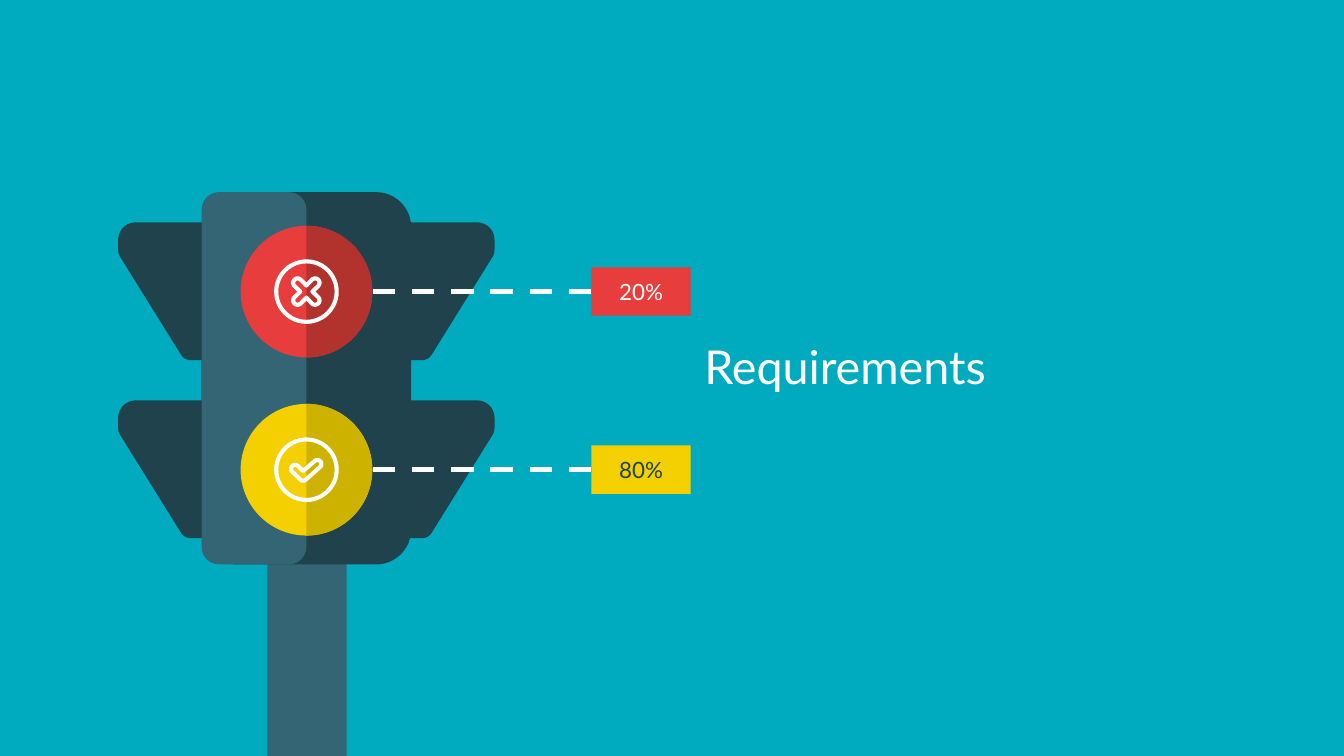
import math

import pptx
import pptx.dml.color
import pptx.enum.dml
import pptx.enum.shapes
import pptx.enum.text
import pptx.oxml
import pptx.oxml.ns
import pptx.util

RGBColor = pptx.dml.color.RGBColor
MSO_SHAPE = pptx.enum.shapes.MSO_SHAPE
PP_ALIGN = pptx.enum.text.PP_ALIGN
ANCHOR = pptx.enum.text.MSO_ANCHOR

TEAL = RGBColor(0x00, 0xAB, 0xBF)
DARK = RGBColor(0x1F, 0x42, 0x4C)
SLATE = RGBColor(0x33, 0x65, 0x74)
RED = RGBColor(0xE8, 0x3D, 0x3D)
DEEP_RED = RGBColor(0xB2, 0x32, 0x2E)
YELLOW = RGBColor(0xF4, 0xD0, 0x00)
DEEP_YELLOW = RGBColor(0xCE, 0xB2, 0x00)
WHITE = RGBColor(0xFF, 0xFF, 0xFF)

# Grid of 100 columns by 56.25 rows
COLS, ROWS = 100, 56.25
AXIS = 22.8     # column of the light's centre line
RADIUS = 4.9    # of a lamp


def cells(n):
    return pptx.util.Inches(n / 10)


def arc(x, y, r, start, end, steps=16):
    """Points on a circle, clockwise from start to end in degrees."""
    angles = [math.radians(start + (end - start) * i / steps) for i in range(steps + 1)]
    return [(x + r * math.cos(a), y + r * math.sin(a)) for a in angles]


def hood(inner):
    """Right-hand hood, measured from the lamp's centre."""
    return ([(inner, 5.1), (inner, -5.15)] + arc(12.7, -3.85, 1.3, -90, 0)
            + arc(13, -3.1, 1, 0, 30) + arc(8.6, 4.25, 0.85, 30, 90))


def cross():
    points = []
    for angle in range(45, 405, 90):
        tip, notch = math.radians(angle), math.radians(angle + 45)
        points += arc(0.92 * math.cos(tip), 0.92 * math.sin(tip), 0.33, angle - 90, angle + 90)
        points.append((0.45 * math.cos(notch), 0.45 * math.sin(notch)))
    return points


def check():
    return (arc(-0.84, -0.06, 0.3, 135, 315) + [(-0.24, 0.1)]
            + arc(0.82, -0.42, 0.3, 225, 405) + arc(-0.24, 0.52, 0.3, 45, 135))


class Deck:
    font = {"name": "Lato", "bold": False}

    def __init__(self):
        self.prs = pptx.Presentation()
        self.prs.slide_width, self.prs.slide_height = cells(COLS), cells(ROWS)
        self.s = self.prs.slides.add_slide(self.prs.slide_layouts[5])
        fill = self.s.background.fill
        fill.solid()
        fill.fore_color.rgb = TEAL

    def style(self, sp, fill, line=None):
        sp.shadow.inherit = False
        if fill is None:
            sp.fill.background()
        else:
            sp.fill.solid()
            sp.fill.fore_color.rgb = fill
        if line is None:
            sp.line.fill.background()
        else:
            sp.line.color.rgb = line
            sp.line.width = pptx.util.Pt(2.2)
        return sp

    def shape(self, kind, x, y, w, h, fill, line=None, adj=None):
        sp = self.s.shapes.add_shape(kind, cells(x), cells(y), cells(w), cells(h))
        if adj is not None:
            sp.adjustments[0] = adj
        return self.style(sp, fill, line)

    def circle(self, y, r, fill, line=None):
        return self.shape(MSO_SHAPE.OVAL, AXIS - r, y - r, 2 * r, 2 * r, fill, line)

    def outline(self, y, points, fill, line=None, side=1):
        """Closed shape around the centre line; side -1 mirrors it."""
        pts = [(cells(AXIS + side * px), cells(y + py)) for px, py in points]
        builder = self.s.shapes.build_freeform(*pts[0])
        builder.add_line_segments(pts[1:], close=True)
        return self.style(builder.convert_to_shape(), fill, line)

    def text(self, sp, words, size, color, align):
        tf = sp.text_frame
        frame = {"word_wrap": True, "auto_size": pptx.enum.text.MSO_AUTO_SIZE.NONE,
                 "vertical_anchor": ANCHOR.MIDDLE}
        frame.update({"margin_" + edge: cells(1) for edge in ("left", "top", "right", "bottom")})
        for name, value in frame.items():
            setattr(tf, name, value)
        p = tf.paragraphs[0]
        p.alignment = align
        r = p.add_run()
        r.text = words
        for name, value in {**self.font, "size": pptx.util.Pt(size)}.items():
            setattr(r.font, name, value)
        r.font.color.rgb = color

    def title(self, words, x, y, w, h):
        sp = self.s.shapes.title
        for name, value in {"left": x, "top": y, "width": w, "height": h}.items():
            setattr(sp, name, cells(value))
        self.text(sp, words, 25, WHITE, PP_ALIGN.LEFT)

    def label(self, y, words, fill, color):
        sp = self.shape(MSO_SHAPE.RECTANGLE, 44, y - 1.8, 7.4, 3.6, fill)
        self.text(sp, words, 12, color, PP_ALIGN.CENTER)
        return sp

    def dashes(self, label, y):
        """Dashed line from a label to the edge of its lamp."""
        line = self.s.shapes.add_connector(pptx.enum.shapes.MSO_CONNECTOR.STRAIGHT,
                                           cells(44), cells(y), cells(AXIS + RADIUS), cells(y))
        line.begin_connect(label, 1)
        line.line.color.rgb = WHITE
        line.line.width = pptx.util.Pt(3)
        line.line.dash_style = pptx.enum.dml.MSO_LINE.DASH
        sp_pr = line._element.spPr
        sp_pr.append(pptx.oxml.parse_xml("<a:effectLst %s/>" % pptx.oxml.ns.nsdecls("a")))


def main():
    deck = Deck()
    # Row, lamp colour, shaded half, icon, share, colour of the share
    lamps = [(21.7, RED, DEEP_RED, cross(), "20%", WHITE),
             (34.95, YELLOW, DEEP_YELLOW, check(), "80%", DARK)]

    # Post, hoods and housing
    deck.shape(MSO_SHAPE.RECTANGLE, 19.9, 41.3, 5.9, ROWS - 41.3, SLATE)
    for y, *_ in lamps:
        for side, inner in ((1, 7), (-1, 5.6)):
            deck.outline(y, hood(inner), DARK, side=side)
    for width, color in ((15.6, DARK), (7.8, SLATE)):
        deck.shape(MSO_SHAPE.ROUNDED_RECTANGLE, 15, 14.3, width, 27.7, color, adj=0.167)

    # Lamps with icons, labels and dashed lines
    for y, color, shade, icon, share, ink in lamps:
        deck.circle(y, RADIUS, color)
        deck.outline(y, arc(0, 0, RADIUS, -90, 90, 48), shade)
        deck.circle(y, 2.25, None, WHITE)
        deck.outline(y, icon, None, WHITE)
        deck.dashes(deck.label(y, share, color, ink), y)

    # Title
    deck.title("Requirements", 51.4, 24.1, 55.3, 6.3)
    deck.prs.save("out.pptx")


if __name__ == "__main__":
    main()
